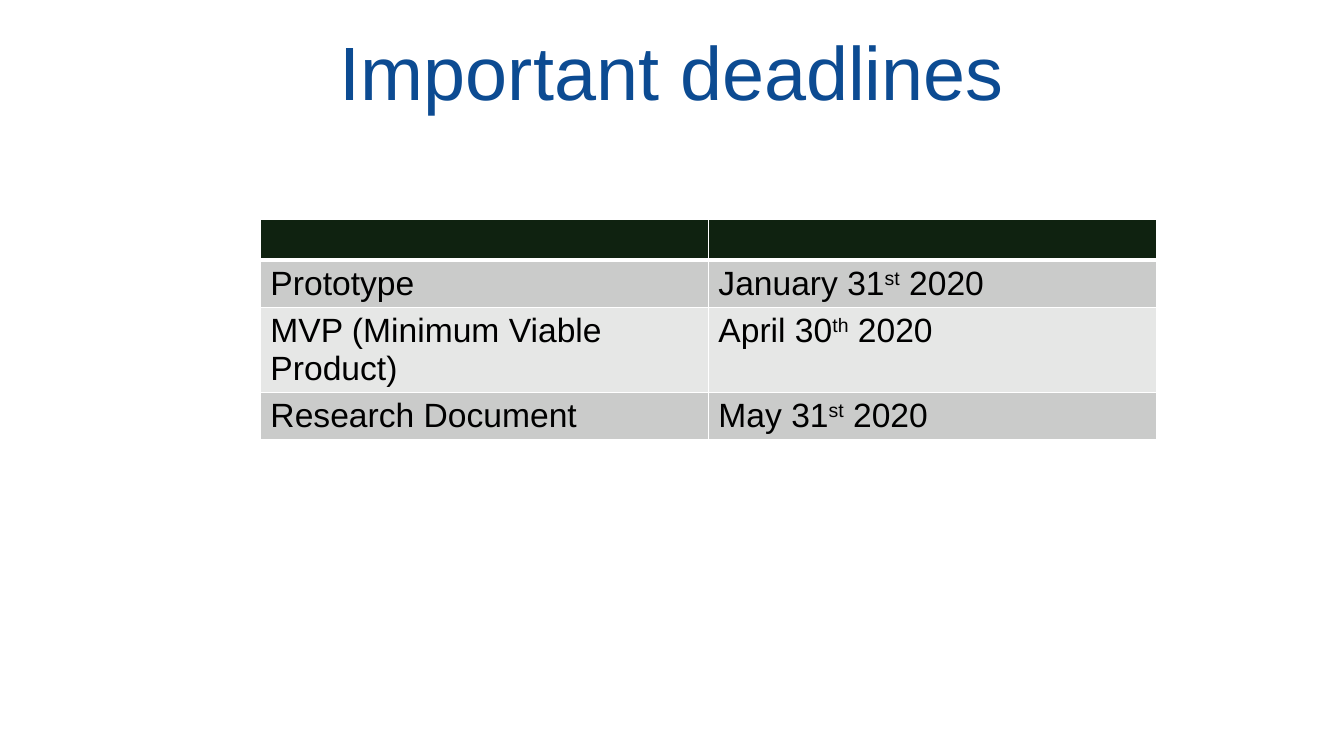
from lxml import etree
from pptx import Presentation
from pptx.dml.color import RGBColor
from pptx.enum.text import MSO_ANCHOR, PP_ALIGN
from pptx.oxml.ns import qn
from pptx.util import Pt

CENTER = PP_ALIGN.CENTER
MIDDLE = MSO_ANCHOR.MIDDLE

TITLE = "Important deadlines"
DEADLINES = [
    ("Prototype", ("January 31", "st", " 2020")),
    ("MVP (Minimum Viable Product)", ("April 30", "th", " 2020")),
    ("Research Document", ("May 31", "st", " 2020")),
]
COLORS = {
    "title": "0C4B92",
    "header": "0F2210",
    "odd": "CACBCA",
    "even": "E6E7E6",
    "text": "000000",
    "border": "FFFFFF",
}
FONT = "Arial"
TABLE_LEFT, TABLE_TOP = 186, 156.4
COLUMN_WIDTH, ROW_HEIGHT = 320, 29.2


def style(span, size, color):
    span.font.name = FONT
    span.font.size = Pt(size)
    span.font.color.rgb = RGBColor.from_string(COLORS[color])


def add_borders(cell, top, bottom):
    properties = cell._tc.get_or_add_tcPr()
    for side, width in (("L", 1), ("R", 1), ("T", top), ("B", bottom)):
        line = etree.SubElement(properties, qn(f"a:ln{side}"), w=str(Pt(width)))
        fill = etree.SubElement(line, qn("a:solidFill"))
        etree.SubElement(fill, qn("a:srgbClr"), val=COLORS["border"])


def paint(cell, color):
    cell.fill.solid()
    cell.fill.fore_color.rgb = RGBColor.from_string(COLORS[color])


def add_title(page):
    box = page.shapes.title
    box.left, box.top, box.width, box.height = Pt(48), Pt(18), Pt(864), Pt(74)
    frame = box.text_frame
    frame.text = TITLE
    frame.word_wrap = True
    frame.vertical_anchor = MIDDLE
    frame.margin_left = frame.margin_right = Pt(9.6)
    frame.margin_top = frame.margin_bottom = Pt(4.8)
    para = frame.paragraphs[0]
    para.alignment = CENTER
    para.line_spacing = 0.85
    style(para.runs[0], 54, "title")


def add_deadlines(page):
    row_count = len(DEADLINES) + 1
    table = page.shapes.add_table(
        row_count, 2, Pt(TABLE_LEFT), Pt(TABLE_TOP),
        Pt(2 * COLUMN_WIDTH), Pt(row_count * ROW_HEIGHT),
    ).table
    for column in table.columns:
        column.width = Pt(COLUMN_WIDTH)
    for row in table.rows:
        row.height = Pt(ROW_HEIGHT)
    for cell in table.rows[0].cells:
        add_borders(cell, 1, 3)
        paint(cell, "header")
    for number, (task, date) in enumerate(DEADLINES, 1):
        for cell, parts in zip(table.rows[number].cells, ((task,), date)):
            add_borders(cell, 3 if number == 1 else 1, 1)
            paint(cell, "odd" if number % 2 else "even")
            para = cell.text_frame.paragraphs[0]
            for position, part in enumerate(parts):
                span = para.add_run()
                span.text = part
                style(span, 24, "text")
                if position == 1:
                    span._r.get_or_add_rPr().set("baseline", "30000")


def main():
    deck = Presentation()
    deck.slide_width, deck.slide_height = Pt(960), Pt(540)
    page = deck.slides.add_slide(deck.slide_layouts[5])
    add_title(page)
    add_deadlines(page)
    deck.save("out.pptx")


if __name__ == "__main__":
    main()
